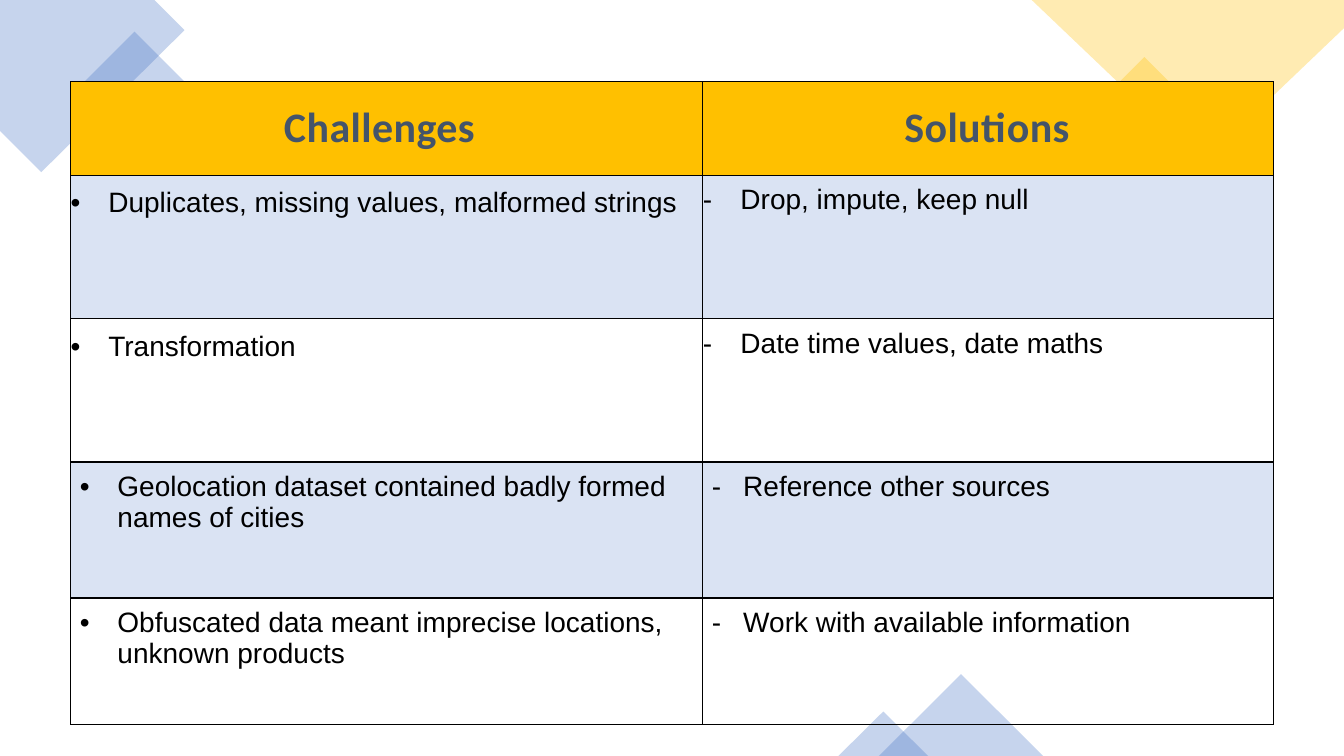
from lxml import etree
from pptx import Presentation
from pptx.dml.color import RGBColor
from pptx.enum.shapes import MSO_SHAPE
from pptx.enum.text import MSO_ANCHOR, PP_ALIGN
from pptx.oxml.ns import qn
from pptx.util import Cm, Pt

RECT = MSO_SHAPE.RECTANGLE
PEAK = MSO_SHAPE.ISOSCELES_TRIANGLE
MID, TOP = MSO_ANCHOR.MIDDLE, MSO_ANCHOR.TOP
CENTER, LEFT = PP_ALIGN.CENTER, PP_ALIGN.LEFT

HUES = {
    "blue": "4472C4",
    "gold": "FFC000",
    "band": "DAE3F3",
    "head": "44546A",
    "ink": "000000",
}
WIDE, HIGH = 33.87, 19.05
COLS = (15.93, 14.38)
ROWS = (2.36, 3.61, 3.61, 3.43, 3.18)
HEADS = (("Challenges", 0.36), ("Solutions", 0.05))
PAIRS = (
    ("Duplicates, missing values, malformed strings", "Drop, impute, keep null"),
    ("Transformation", "Date time values, date maths"),
    ("Geolocation dataset contained badly formed names of cities",
     "Reference other sources"),
    ("Obfuscated data meant imprecise locations, unknown products",
     "Work with available information"),
)


def hue(name):
    return RGBColor.from_string(HUES[name])


def tint(shape, name):
    shape.shadow.inherit = False
    shape.fill.solid()
    shape.fill.fore_color.rgb = hue(name)
    shape.line.fill.background()
    color = shape._element.spPr.find(qn("a:solidFill"))[0]
    etree.SubElement(color, qn("a:alpha")).set("val", "30000")


def add_poly(slide, left, top, points, name):
    spots = [(Cm(left + x), Cm(top + y)) for x, y in points]
    form = slide.shapes.build_freeform(*spots[0], scale=1.0)
    form.add_line_segments(spots[1:], close=True)
    tint(form.convert_to_shape(), name)


def add_part(slide, kind, left, top, wide, high, name, turn=0):
    part = slide.shapes.add_shape(kind, Cm(left), Cm(top), Cm(wide), Cm(high))
    part.rotation = turn
    tint(part, name)


def add_decor(slide, left, top, wide, high):
    right, base = left + wide, top + high
    add_poly(slide, left, top,
             ((0, 0), (3.89, 0), (4.65, 0.76), (1.04, 4.34), (0, 3.3)), "blue")
    add_part(slide, RECT, left + 2.49, top + 1.17, 1.8, 1.8, "blue", 315)
    add_part(slide, RECT, right - 5.98, top + 1.83, 1.9, 1.9, "gold", 315)
    add_poly(slide, right, top,
             ((-7.87, 0), (0, 0), (0, 0.71), (-3.56, 4.11)), "gold")
    for x, size, rise in ((22.15, 4.14, 2.06), (21.13, 2.26, 1.12)):
        add_part(slide, PEAK, left + x, base - rise, size, rise, "blue")


def frame(cell):
    props = cell._tc.get_or_add_tcPr()
    for spot, side in enumerate("LRTB"):
        line = etree.Element(qn("a:ln" + side), w=str(Pt(1)))
        fill = etree.SubElement(line, qn("a:solidFill"))
        etree.SubElement(fill, qn("a:srgbClr"), val=HUES["ink"])
        props.insert(spot, line)


def set_cell(cell, text, fill, anchor, align, pads):
    cell.text_frame.text = text
    cell.vertical_anchor = anchor
    cell.margin_left, cell.margin_right = (Cm(pad) for pad in pads)
    cell.margin_top = cell.margin_bottom = Cm(0.23)
    if fill:
        cell.fill.solid()
        cell.fill.fore_color.rgb = hue(fill)
    else:
        cell.fill.background()
    frame(cell)
    para = cell.text_frame.paragraphs[0]
    para.alignment = align
    return para


def style(para, face, size, name, bold):
    font = para.runs[0].font
    font.name, font.size, font.bold = face, Pt(size), bold
    font.color.rgb = hue(name)


def add_mark(para, mark, dent):
    props = para._p.get_or_add_pPr()
    props.set("marL", str(Cm(dent)))
    props.set("indent", str(-Cm(dent)))
    etree.SubElement(props, qn("a:buFont"), typeface="Arial")
    etree.SubElement(props, qn("a:buChar"), char=mark)


def add_grid(slide, left, top, wide, high):
    grid = slide.shapes.add_table(len(ROWS), len(COLS), Cm(left), Cm(top),
                                  Cm(wide), Cm(high)).table
    grid.first_row = grid.horz_banding = False
    for col, size in zip(grid.columns, COLS):
        col.width = Cm(size)
    for row, size in zip(grid.rows, ROWS):
        row.height = Cm(size)

    for c, (text, pad) in enumerate(HEADS):
        para = set_cell(grid.cell(0, c), text, "gold", MID, CENTER, (0, pad))
        style(para, "Calibri", 30, "head", True)
        para.runs[0]._r.get_or_add_rPr().set("spc", "30")

    for r, pair in enumerate(PAIRS, 1):
        fill = "band" if r % 2 else None
        inner = r > 2
        for c, text in enumerate(pair):
            pads = (0.23 if inner else 0, 0.48)
            para = set_cell(grid.cell(r, c), text, fill, TOP, LEFT, pads)
            if c == 0 and not inner:
                para.line_spacing = 1.1
            add_mark(para, "•-"[c], 0.79 if c and inner else 0.95)
            style(para, "Arial", 20, "ink", False)


def main():
    deck = Presentation()
    deck.slide_width, deck.slide_height = Cm(WIDE), Cm(HIGH)
    slide = deck.slides.add_slide(deck.slide_layouts[6])
    add_decor(slide, 0, 0, WIDE, HIGH)
    add_grid(slide, 1.78, 2.06, sum(COLS), sum(ROWS))
    deck.save("out.pptx")


if __name__ == "__main__":
    main()
